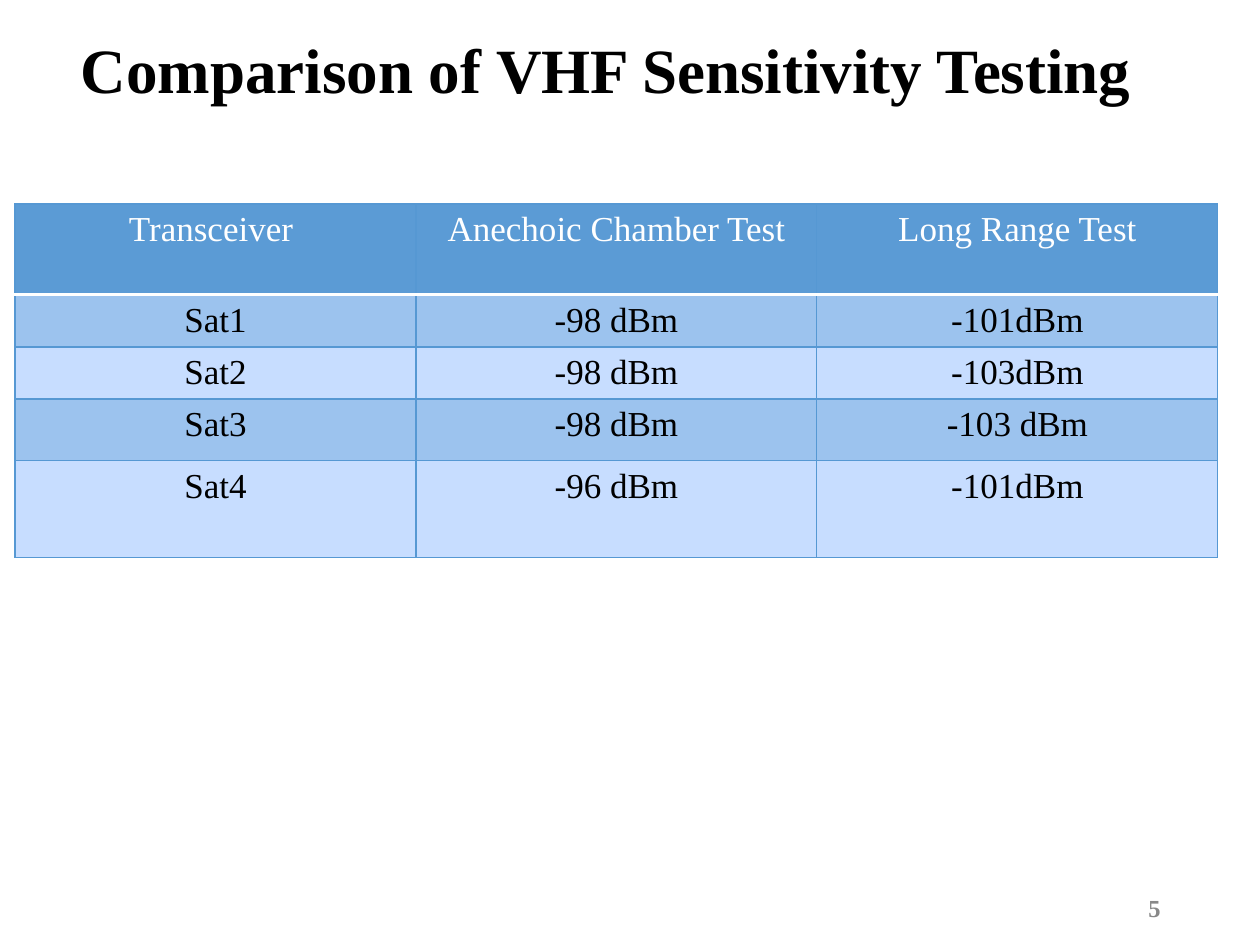
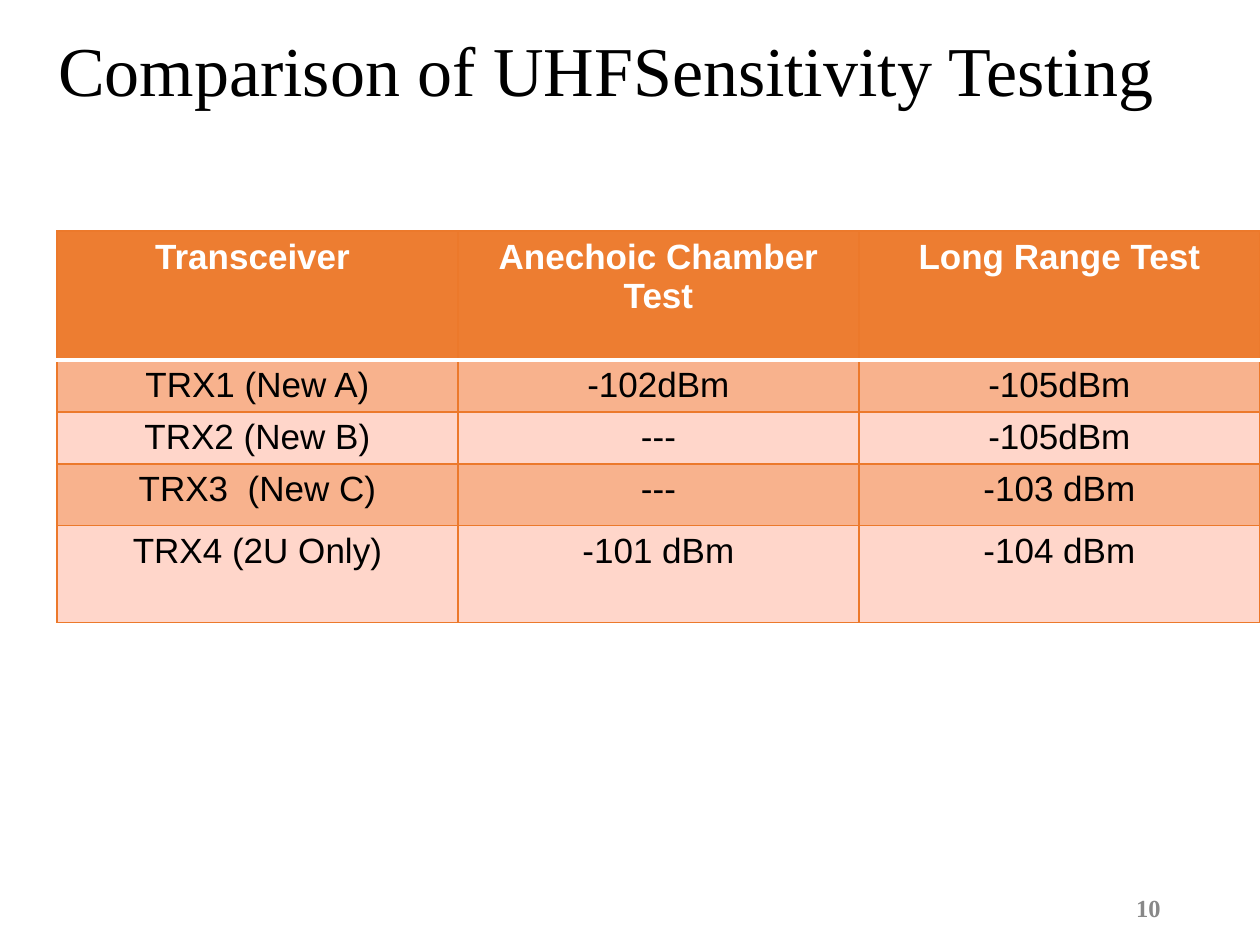
import pptx
import pptx.dml.color
import pptx.enum.text
import pptx.oxml
import pptx.oxml.ns
import pptx.util

PX = 914400 // 126
SERIF = "Times New Roman"
SANS = "Arial"
ALIGN = pptx.enum.text.PP_ALIGN
COLORS = {
    "white": "FFFFFF",
    "text": "000000",
    "number": "888888",
}
BLUE = {"header": "5B9BD5", "dark": "9CC3EE", "light": "C7DDFF", "grid": "5698D3"}
ORANGE = {"header": "ED7D31", "dark": "F8B28D", "light": "FFD6CA", "grid": "EC792B"}
HEADINGS = ["Transceiver ", "Anechoic Chamber Test", "Long Range Test"]
VHF_RESULTS = [
    ["Sat1", "-98 dBm", "-101dBm"],
    ["Sat2", "-98 dBm", "-103dBm"],
    ["Sat3", "-98 dBm", "-103 dBm"],
    ["Sat4", "-96 dBm", "-101dBm"],
]
UHF_RESULTS = [
    ["TRX1 (New A)", "-102dBm", "-105dBm"],
    ["TRX2 (New B)", "---", "-105dBm"],
    ["TRX3  (New C)", "---", "-103 dBm"],
    ["TRX4 (2U Only)", "-101 dBm", "-104 dBm"],
]
COLUMN_WIDTH = 401
RESULT_HEIGHTS = [52, 52, 62, 97]


def px(length):
    return pptx.util.Emu(length * PX)


def rgb(color):
    return pptx.dml.color.RGBColor.from_string(color)


def place(shape, left, top, width, height):
    shape.left, shape.top = px(left), px(top)
    shape.width, shape.height = px(width), px(height)


def write(text_frame, text, font, size, color, bold, align):
    paragraph = text_frame.paragraphs[0]
    paragraph.alignment = align
    run = paragraph.add_run()
    run.text = text
    run.font.name = font
    run.font.size = pptx.util.Pt(size)
    run.font.bold = bold
    run.font.color.rgb = rgb(color)
    return paragraph


def center_vertically(text_frame):
    text_frame.word_wrap = True
    text_frame.auto_size = pptx.enum.text.MSO_AUTO_SIZE.NONE
    text_frame.vertical_anchor = pptx.enum.text.MSO_ANCHOR.MIDDLE


def add_title(slide, text, size, bold):
    title = slide.shapes.title
    place(title, 15, 16, 1182, 115)
    center_vertically(title.text_frame)
    paragraph = write(title.text_frame, text, SERIF, size, COLORS["text"], bold, ALIGN.CENTER)
    paragraph.line_spacing = 0.9


def add_slide_number(slide, number):
    box = slide.shapes.add_textbox(px(890), px(883), px(283), px(50))
    center_vertically(box.text_frame)
    write(box.text_frame, str(number), SERIF, 14, COLORS["number"], True, ALIGN.RIGHT)


def add_border(cell, side, color, width):
    line = pptx.oxml.parse_xml(
        f'<a:ln{side} {pptx.oxml.ns.nsdecls("a")} w="{pptx.util.Pt(width)}">'
        f'<a:solidFill><a:srgbClr val="{color}"/></a:solidFill></a:ln{side}>'
    )
    cell._tc.get_or_add_tcPr().append(line)


def format_cell(cell, row_index, palette):
    separator_side = {0: "B", 1: "T"}.get(row_index)
    for side in "LRTB":
        if side == separator_side:
            add_border(cell, side, COLORS["white"], 2)
        else:
            add_border(cell, side, palette["grid"], 0.75)
    band = "header" if row_index == 0 else ("light", "dark")[row_index % 2]
    cell.fill.solid()
    cell.fill.fore_color.rgb = rgb(palette[band])


def add_results_table(slide, left, top, header_height, results, palette, font, bold_header):
    rows = [HEADINGS] + results
    heights = [header_height] + RESULT_HEIGHTS
    frame = slide.shapes.add_table(
        len(rows), len(HEADINGS), px(left), px(top),
        px(COLUMN_WIDTH * len(HEADINGS)), px(sum(heights)),
    )
    table = frame.table
    for column in table.columns:
        column.width = px(COLUMN_WIDTH)
    for row_index, (values, height) in enumerate(zip(rows, heights)):
        table.rows[row_index].height = px(height)
        is_header = row_index == 0
        color = COLORS["white"] if is_header else COLORS["text"]
        for column_index, value in enumerate(values):
            cell = table.cell(row_index, column_index)
            format_cell(cell, row_index, palette)
            write(cell.text_frame, value, font, 20, color, is_header and bold_header, ALIGN.CENTER)


def add_title_slide(presentation, title, size, bold, number):
    slide = presentation.slides.add_slide(presentation.slide_layouts[5])
    add_title(slide, title, size, bold)
    add_slide_number(slide, number)
    return slide


def main():
    presentation = pptx.Presentation()
    presentation.slide_width = pptx.util.Inches(10)
    presentation.slide_height = pptx.util.Inches(7.5)

    slide = add_title_slide(presentation, "Comparison of VHF Sensitivity Testing", 36, True, 5)
    add_results_table(slide, 15, 204, 91, VHF_RESULTS, BLUE, SERIF, False)

    slide = add_title_slide(presentation, "Comparison of UHFSensitivity Testing", 40, False, 10)
    add_results_table(slide, 57, 231, 129, UHF_RESULTS, ORANGE, SANS, True)

    presentation.save("out.pptx")


if __name__ == "__main__":
    main()
